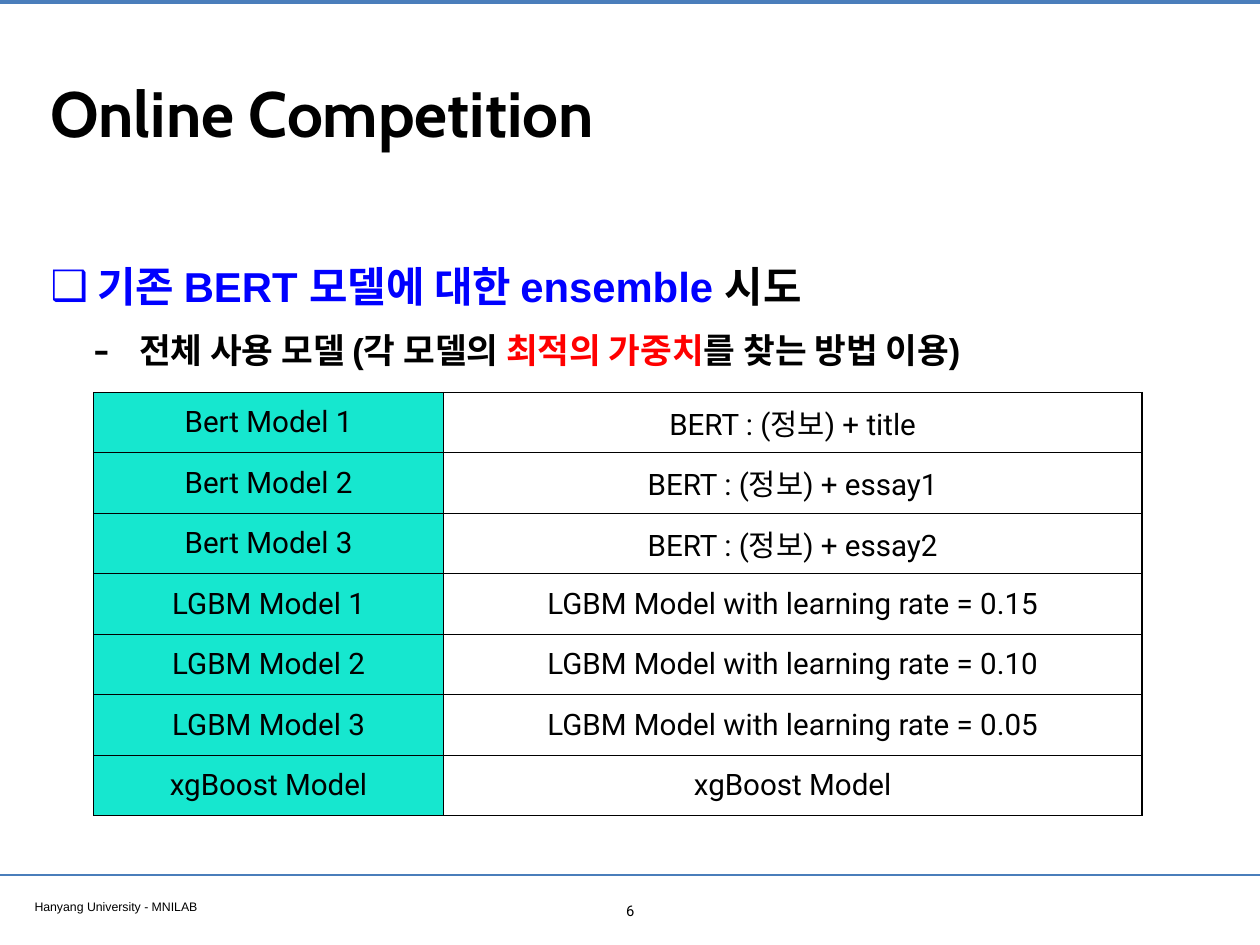
import pptx
import pptx.util
import pptx.dml.color
import pptx.enum.shapes
import pptx.enum.text
import pptx.oxml.ns
from lxml import etree

Inches, Pt = pptx.util.Inches, pptx.util.Pt
PP_ALIGN, ANCHOR = pptx.enum.text.PP_ALIGN, pptx.enum.text.MSO_ANCHOR
qn = pptx.oxml.ns.qn

WIDTH, HEIGHT = Inches(14.22), Inches(10.67)
COLORS = {
    "rule": "4A7EBB",
    "text": "000000",
    "topic": "0000FF",
    "accent": "FF0000",
    "model": "16E7CF",
    "paper": "FFFFFF",
}
FORMATS = {
    "title": {"name": "Cabin", "size": Pt(52), "bold": True},
    "topic": {"name": "Arial", "size": Pt(34), "bold": True},
    "detail": {"name": "Arial", "size": Pt(28), "bold": True},
    "cell": {"name": "Roboto", "size": Pt(24), "bold": False},
    "footer": {"name": "Arial", "size": Pt(10), "bold": False},
    "number": {"name": "Roboto", "size": Pt(12), "bold": False},
}
MODELS = [
    ("Bert Model 1", "BERT : (정보) + title"),
    ("Bert Model 2", "BERT : (정보) + essay1"),
    ("Bert Model 3", "BERT : (정보) + essay2"),
    ("LGBM Model 1", "LGBM Model with learning rate = 0.15"),
    ("LGBM Model 2", "LGBM Model with learning rate = 0.10"),
    ("LGBM Model 3", "LGBM Model with learning rate = 0.05"),
    ("xgBoost Model", "xgBoost Model"),
]


def across(percent):
    return int(WIDTH * percent / 100)


def down(percent):
    return int(HEIGHT * percent / 100)


def area(left, top, width, height):
    """Turn percentages of the slide into a position and size."""
    return across(left), down(top), across(width), down(height)


def rgb(color):
    return pptx.dml.color.RGBColor.from_string(COLORS[color])


def add_run(paragraph, words, style, color="text"):
    run = paragraph.add_run()
    run.text = words
    for attribute, value in FORMATS[style].items():
        setattr(run.font, attribute, value)
    run.font.color.rgb = rgb(color)


def add_frame(slide, place, anchor=ANCHOR.TOP):
    frame = slide.shapes.add_textbox(*place).text_frame
    layout = dict.fromkeys(
        ("margin_left", "margin_top", "margin_right", "margin_bottom"), Inches(0.06))
    layout.update(word_wrap=True, vertical_anchor=anchor)
    for attribute, value in layout.items():
        setattr(frame, attribute, value)
    return frame


def add_label(slide, place, words, style, align=PP_ALIGN.LEFT, anchor=ANCHOR.TOP):
    paragraph = add_frame(slide, place, anchor).paragraphs[0]
    paragraph.alignment = align
    add_run(paragraph, words, style)


def add_rule(slide, height_share, weight):
    y = down(height_share)
    rule = slide.shapes.add_connector(
        pptx.enum.shapes.MSO_CONNECTOR.STRAIGHT, 0, y, WIDTH, y)
    rule.line.color.rgb = rgb("rule")
    rule.line.width = Pt(weight)
    etree.SubElement(rule.element.spPr, qn("a:effectLst"))


def write_bullet(paragraph, symbol, size, margin, hanging, style, parts):
    paragraph.line_spacing = 1.2
    properties = paragraph._p.get_or_add_pPr()
    properties.set("marL", str(Inches(margin)))
    properties.set("indent", str(-Inches(hanging)))
    etree.SubElement(properties, qn("a:buSzPct"), val=str(size * 1000))
    etree.SubElement(properties, qn("a:buFont"), typeface="Arial")
    etree.SubElement(properties, qn("a:buChar"), char=symbol)
    for words, color in parts:
        add_run(paragraph, words, style, color)


def add_borders(cell):
    properties = cell._tc.get_or_add_tcPr()
    for position, side in enumerate(("a:lnL", "a:lnR", "a:lnT", "a:lnB")):
        border = etree.Element(qn(side), w=str(Pt(1)))
        fill = etree.SubElement(border, qn("a:solidFill"))
        etree.SubElement(fill, qn("a:srgbClr"), val=COLORS["text"])
        properties.insert(position, border)


def add_model_table(slide, place):
    table = slide.shapes.add_table(len(MODELS), 2, *place).table
    table.first_row = table.horz_banding = False
    # The description column is twice as wide as the model column
    for column, thirds in zip(table.columns, (1, 2)):
        column.width = place[2] * thirds // 3
    for row, texts in zip(table.rows, MODELS):
        row.height = place[3] // len(MODELS)
        for cell, words, fill in zip(row.cells, texts, ("model", "paper")):
            cell.fill.solid()
            cell.fill.fore_color.rgb = rgb(fill)
            cell.vertical_anchor = ANCHOR.MIDDLE
            paragraph = cell.text_frame.paragraphs[0]
            paragraph.alignment = PP_ALIGN.CENTER
            add_run(paragraph, words, "cell")
            add_borders(cell)


def main():
    deck = pptx.Presentation()
    deck.slide_width, deck.slide_height = WIDTH, HEIGHT
    slide = deck.slides.add_slide(deck.slide_layouts[6])

    # Page frame: rules, footer and page number
    add_rule(slide, 0.19, 3.2)
    add_rule(slide, 92.6, 2)
    add_label(slide, area(2.32, 94.56, 38.4, 2.44), "Hanyang University - MNILAB", "footer")
    add_label(slide, area(48.66, 94.85, 2.74, 2.9), "6", "number", PP_ALIGN.CENTER)

    # Title
    add_label(slide, area(3.59, 2.62, 92.9, 18.46), "Online Competition", "title",
              anchor=ANCHOR.MIDDLE)

    # Topic and its detail
    body = add_frame(slide, area(3.59, 25.96, 91, 15.56))
    write_bullet(body.paragraphs[0], "❑", 100, 0.53, 0.53, "topic", [
        ("기존 BERT 모델에 대한 ensemble ", "topic"), ("시도", "text")])
    detail = body.add_paragraph()
    detail.space_before = Pt(8)
    write_bullet(detail, "-", 145, 1, 0.52, "detail", [
        ("전체 사용 모델 (각 모델의 ", "text"), ("최적의 가중치", "accent"),
        ("를 찾는 방법 이용)", "text")])

    # Models in the ensemble
    add_model_table(slide, area(7.45, 41.52, 83.19, 44.8))

    deck.save("out.pptx")


if __name__ == "__main__":
    main()
